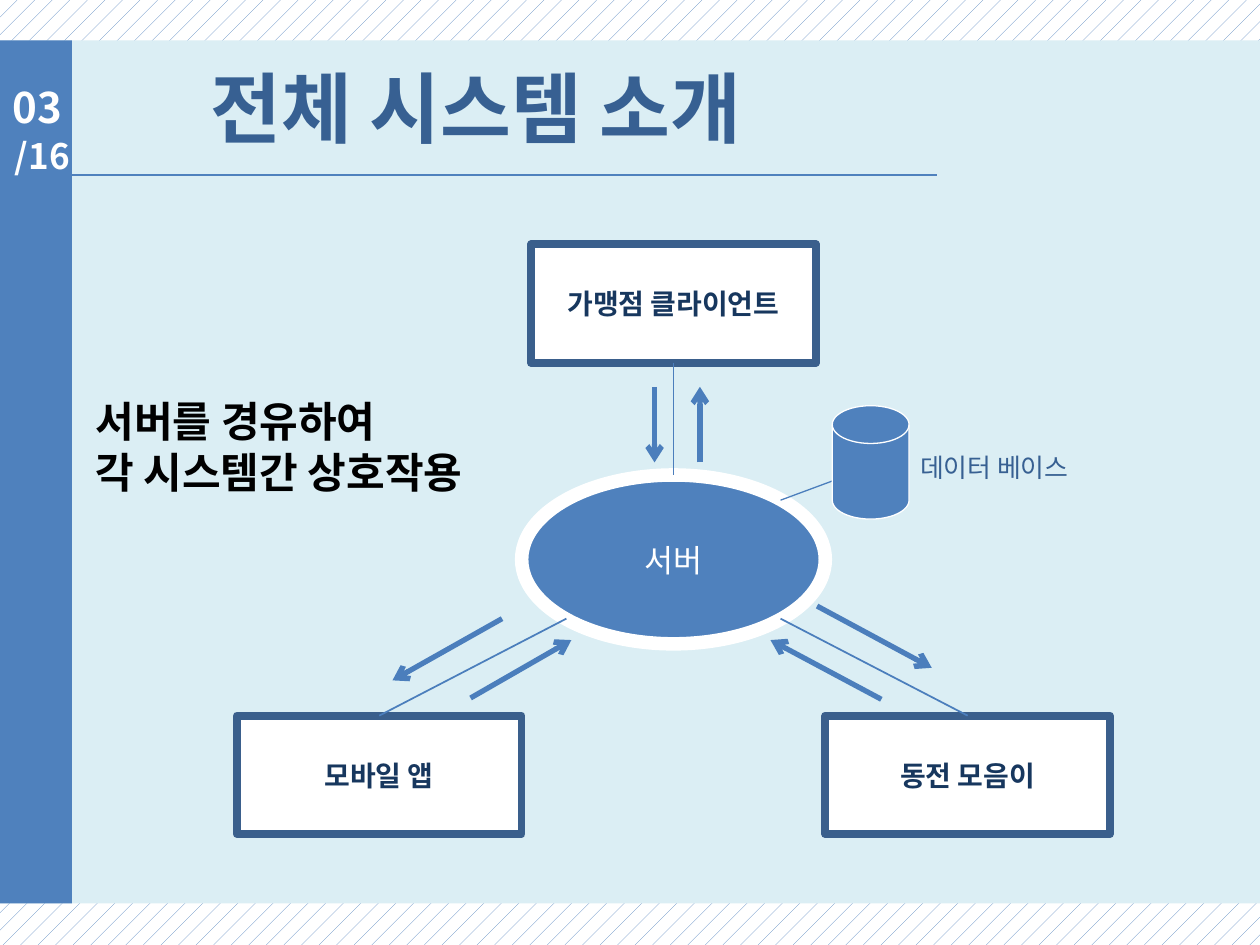
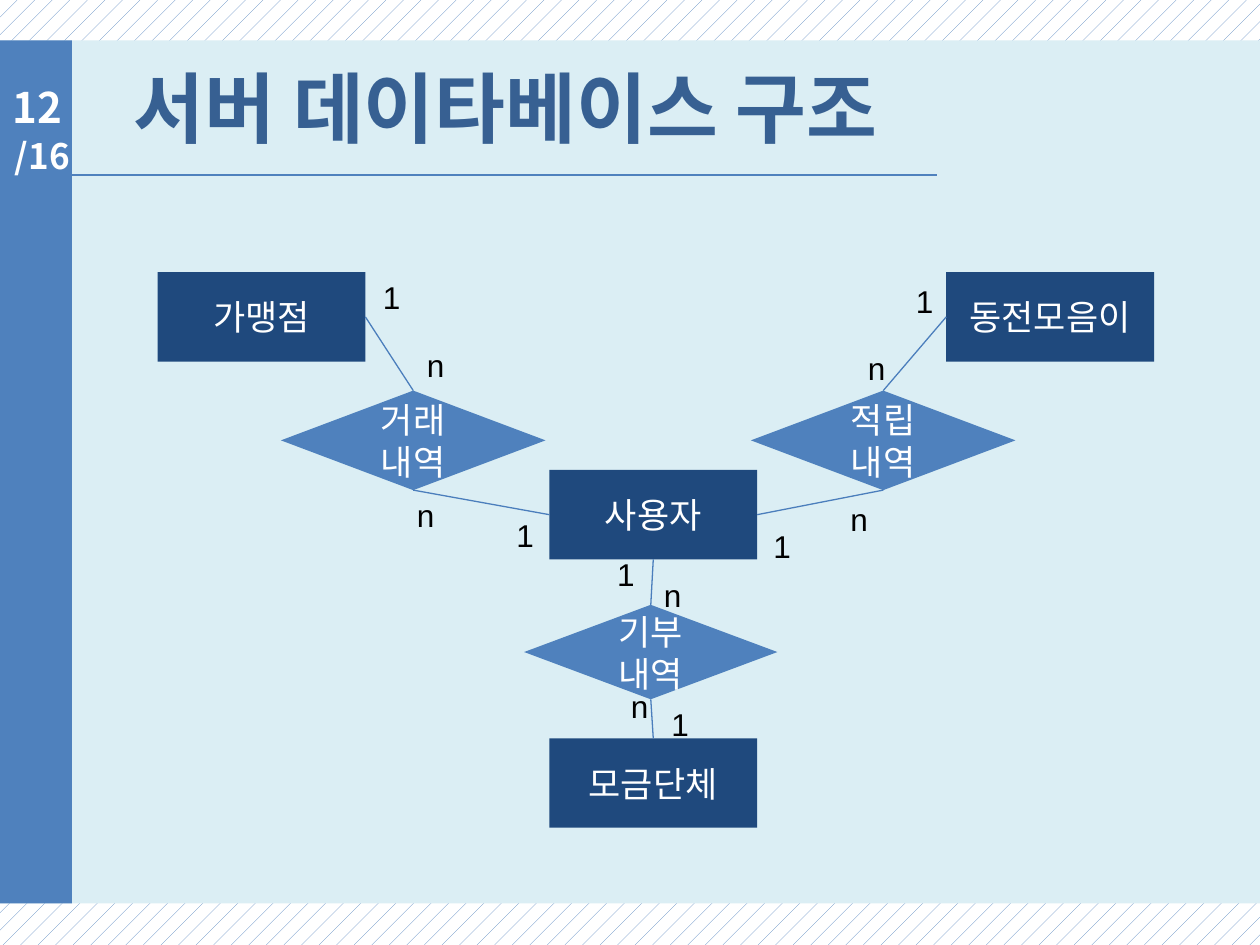
from lxml import etree
from pptx import Presentation
from pptx import util as u
from pptx.dml import color
from pptx.enum import dml, shapes, text
from pptx.oxml import ns

# Shared look
BLUE, LINK_BLUE, TITLE_BLUE = "4F81BD", "4B7EBC", "376092"
FRAME_BLUE, DEEP_BLUE, NAVY = "3A5F8C", "17375E", "1F497D"
PALE, WHITE, BLACK = "DBEEF4", "FFFFFF", "000000"
KOREAN, LATIN = "Noto Sans CJK KR", "Arial"
SHAPE = shapes.MSO_SHAPE
TOP, LEFT, BOTTOM, RIGHT = range(4)  # connection sites


def rgb(hex_string):
    return color.RGBColor.from_string(hex_string)


def inches(*lengths):
    return [u.Inches(length) for length in lengths]


def write(shape, words, size=18, font=KOREAN, ink=BLACK, bold=False,
          centred=True, middle=True):
    """Fill a shape with one paragraph for each line of words."""
    frame = shape.text_frame
    frame.word_wrap = True
    frame.auto_size = text.MSO_AUTO_SIZE.NONE
    frame.vertical_anchor = text.MSO_ANCHOR.MIDDLE if middle else text.MSO_ANCHOR.TOP
    for i, line in enumerate(words.split("\n")):
        paragraph = frame.paragraphs[0] if i == 0 else frame.add_paragraph()
        paragraph.alignment = text.PP_ALIGN.CENTER if centred else text.PP_ALIGN.LEFT
        run = paragraph.add_run()
        run.text = line
        run.font.name, run.font.size, run.font.bold = font, u.Pt(size), bold
        run.font.color.rgb = rgb(ink)
        east_asian = etree.SubElement(run.font._element, ns.qn("a:ea"))
        east_asian.set("typeface", KOREAN)


def label(slide, words, box, **style):
    write(slide.shapes.add_textbox(*inches(*box)), words, centred=False, **style)


def block(slide, preset, box, fill, outline=None, weight=1.0, words="", **style):
    shape = slide.shapes.add_shape(preset, *inches(*box))
    shape.shadow.inherit = False
    shape.fill.solid()
    shape.fill.fore_color.rgb = rgb(fill)
    if outline:
        shape.line.color.rgb = rgb(outline)
        shape.line.width = u.Pt(weight)
    else:
        shape.line.fill.background()
    if words:
        write(shape, words, **style)
    return shape


def link(slide, start, end, ink=LINK_BLUE, weight=1.0, arrow=False):
    line = slide.shapes.add_connector(
        shapes.MSO_CONNECTOR.STRAIGHT, *inches(*start, *end))
    line.line.color.rgb = rgb(ink)
    line.line.width = u.Pt(weight)
    if arrow:
        tail = etree.SubElement(line.line._get_or_add_ln(), ns.qn("a:tailEnd"))
        tail.set("type", "arrow")
    etree.SubElement(line._element.spPr, ns.qn("a:effectLst"))
    return line


def build_layout(prs):
    """Put the background, panel, side band and rule on the title layout."""
    fill = prs.slide_master.background.fill
    fill.patterned()
    fill.pattern = dml.MSO_PATTERN.PERCENT_5
    fill.fore_color.rgb, fill.back_color.rgb = rgb(BLUE), rgb(WHITE)

    layout = prs.slide_layouts[5]
    for holder in list(layout.placeholders)[1:]:
        holder._element.getparent().remove(holder._element)
    return layout


def draw_bands(slide, layout):
    """Draw the shared parts, then hand them over to the layout."""
    block(slide, SHAPE.RECTANGLE, (0, 0.32, 10, 6.85), PALE)
    link(slide, (0.28, 1.39), (7.44, 1.39), ink=BLUE)
    block(slide, SHAPE.RECTANGLE, (-0.02, 0.32, 0.59, 6.85), BLUE)
    label(slide, "/16", (0.02, 1.02, 0.67, 0.44),
          size=20, ink=WHITE, bold=True, middle=False)
    for part in list(slide.shapes):
        if not part.is_placeholder:
            layout.shapes._spTree.append(part._element)


def head(slide, heading, page, width):
    """Title and page number."""
    title = slide.shapes.title
    title.left, title.top, title.width, title.height = inches(0.59, 0.33, width, 1.04)
    write(title, heading, size=44, ink=TITLE_BLUE, bold=True)
    label(slide, page, (0, 0.6, 0.67, 0.5),
          size=24, ink=WHITE, bold=True, middle=False)


def system_map(slide, left, top, width, height):
    """Three clients around a server, with its database."""
    node_w, node_h = 2.26, 0.94
    centre_x, centre_y = left + width / 2, top + 2.5
    low = top + height - node_h

    def near(dx, dy):
        return centre_x + dx, centre_y + dy

    # Clients
    for name, x, y in (("가맹점 클라이언트", centre_x - node_w / 2, top),
                       ("모바일 앱", left, low),
                       ("동전 모음이", left + width - node_w, low)):
        block(slide, SHAPE.RECTANGLE, (x, y, node_w, node_h), WHITE, FRAME_BLUE, 4.5,
              name, size=16, ink=DEEP_BLUE, bold=True)

    # Server and its links
    block(slide, SHAPE.OVAL, (*near(-1.205, -0.67), 2.41, 1.34), BLUE, WHITE, 7.75,
          "서버", ink=WHITE)
    link(slide, (centre_x, top + node_h), near(0, -0.67))
    for side in (-1, 1):
        link(slide, near(side * 0.85, 0.47),
             (centre_x + side * (width - node_w) / 2, low))

    # Traffic in both directions
    for start, end in (((-1.36, 0.47), (-2.23, 0.96)), ((-1.61, 1.1), (-0.81, 0.64)),
                       ((-0.15, -1.37), (-0.15, -0.77)), ((0.21, -0.77), (0.21, -1.37)),
                       ((1.65, 1.11), (0.77, 0.64)), ((1.14, 0.37), (2.05, 0.86))):
        link(slide, near(*start), near(*end), weight=3, arrow=True)

    # Database
    link(slide, near(0.85, -0.47), near(1.39, -0.67), weight=0.75)
    block(slide, SHAPE.FLOWCHART_MAGNETIC_DISK, (*near(1.26, -1.22), 0.61, 0.9),
          BLUE, WHITE, 0.75)
    label(slide, "데이터 베이스", (*near(1.86, -0.99), 1.59, 0.52),
          size=14.8, ink=TITLE_BLUE)


def entity_diagram(slide, left, top):
    """Entities joined through the records they share."""
    def draw(items, preset, fill):
        return {name: block(slide, preset, (left + x, top + y, w, h), fill,
                            words=name, size=20, font=LATIN, ink=WHITE)
                for name, x, y, w, h in items}

    entities = draw([(name, x, y, 1.65, 0.71) for name, x, y in (
        ("사용자", 3.11, 1.57), ("모금단체", 3.11, 3.7),
        ("동전모음이", 6.26, 0), ("가맹점", 0, 0))], SHAPE.RECTANGLE, NAVY)
    records = draw((("적립\n내역", 4.71, 0.94, 2.1, 0.79),
                    ("거래\n내역", 0.98, 0.94, 2.1, 0.79),
                    ("기부\n내역", 2.91, 2.64, 2.01, 0.75)),
                   SHAPE.FLOWCHART_DECISION, BLUE)

    # Relations
    for record, record_site, entity, entity_site in (
            ("거래\n내역", TOP, "가맹점", RIGHT),
            ("적립\n내역", TOP, "동전모음이", LEFT),
            ("기부\n내역", TOP, "사용자", BOTTOM),
            ("거래\n내역", BOTTOM, "사용자", LEFT),
            ("적립\n내역", BOTTOM, "사용자", RIGHT),
            ("기부\n내역", BOTTOM, "모금단체", TOP)):
        line = link(slide, (0, 0), (0, 0), weight=0.75)
        line.begin_connect(records[record], record_site)
        line.end_connect(entities[entity], entity_site)

    # Cardinalities
    places = {
        "1": ((1.69, 0), (2.75, 1.89), (3.55, 2.2), (3.98, 3.39), (4.79, 1.97),
              (5.92, 0.03)),
        "n": ((2.04, 0.54), (1.96, 1.73), (3.92, 2.36), (3.66, 3.24), (5.4, 1.76),
              (5.54, 0.56)),
    }
    for count, spots in places.items():
        for x, y in spots:
            label(slide, count, (left + x, top + y, 0.36, 0.4), font=LATIN, middle=False)


def main():
    prs = Presentation()
    prs.slide_width, prs.slide_height = inches(10, 7.5)
    layout = build_layout(prs)

    overview = prs.slides.add_slide(layout)
    draw_bands(overview, layout)
    system_map(overview, 1.88, 1.94, 6.93, 4.68)
    head(overview, "전체 시스템 소개", "03", 6.38)
    label(overview, "서버를 경유하여\n각 시스템간 상호작용", (0.66, 3.28, 3.58, 0.52),
          size=24, bold=True)

    database = prs.slides.add_slide(layout)
    head(database, "서버 데이타베이스 구조", "12", 6.85)
    entity_diagram(database, 1.25, 2.16)

    prs.save("out.pptx")


if __name__ == "__main__":
    main()
